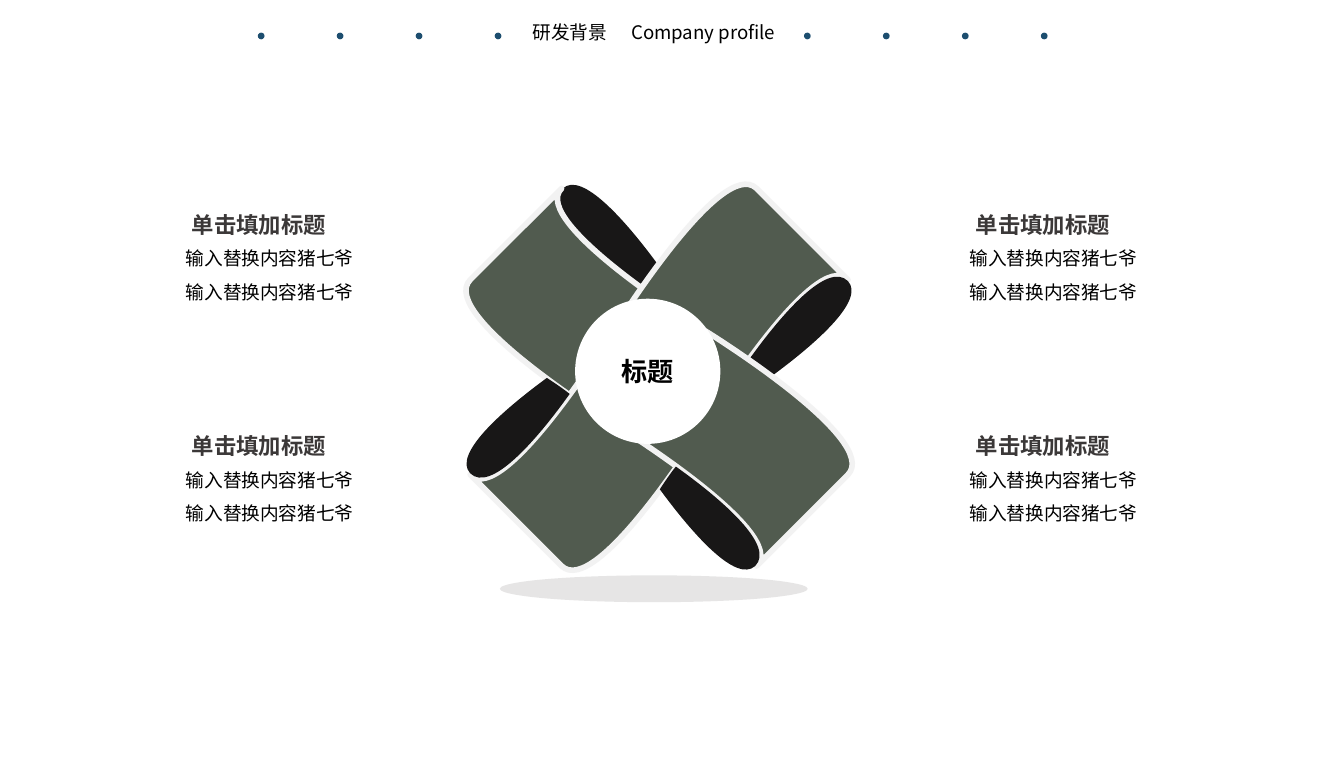
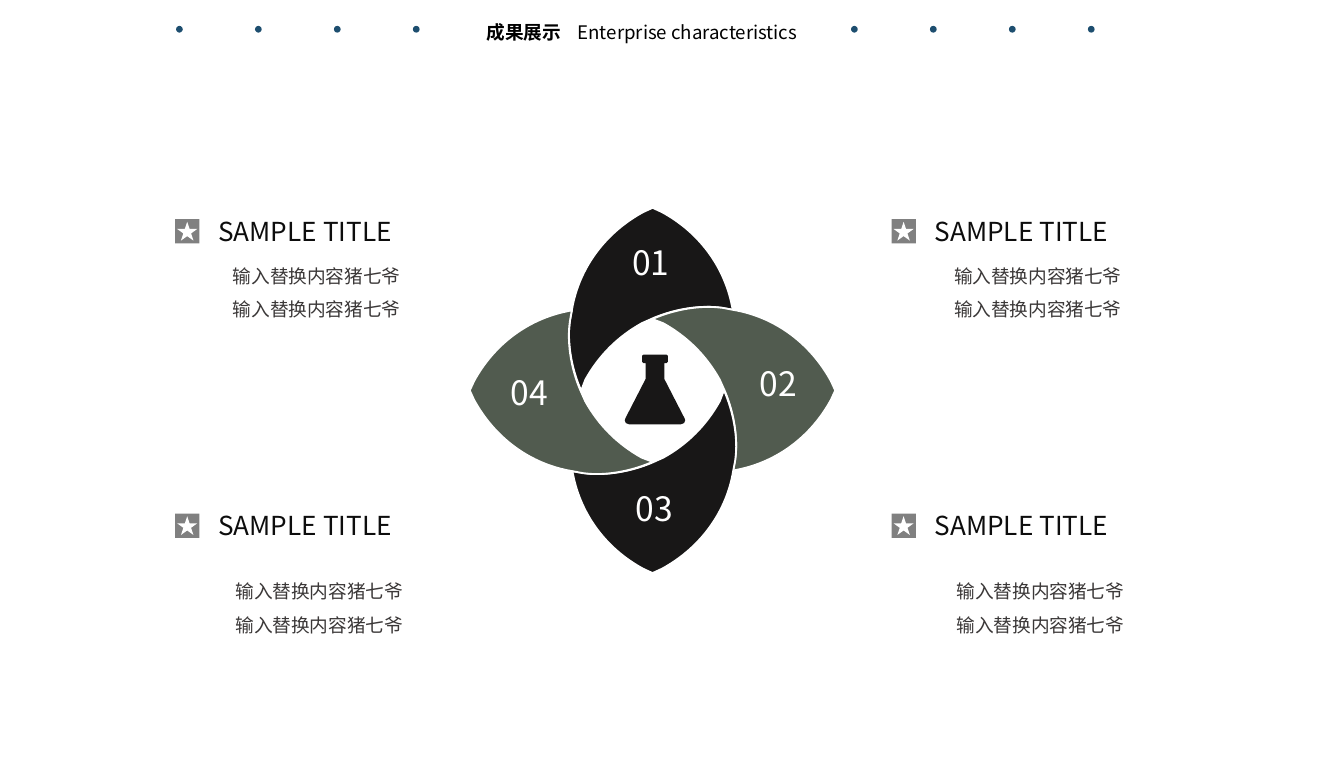
from itertools import product

from lxml.etree import SubElement
from pptx import Presentation
from pptx.dml.color import RGBColor
from pptx.enum.shapes import MSO_SHAPE
from pptx.enum.text import MSO_ANCHOR, PP_ALIGN
from pptx.oxml.ns import qn
from pptx.util import Pt

COLORS = {
    "dot": "1D4E6F", "green": "515B4F", "black": "181717", "edge": "F2F2F2",
    "white": "FFFFFF", "shade": "E6E5E5", "text": "000000", "soft": "3B3838",
    "ink": "0D0D0D", "gray": "808080",
}
FONT = "Noto Sans CJK SC"
NOTE = ["输入替换内容猪七爷"] * 2
DOT, STEP = 3.6, 42.3

BLADE = [
    (-52.2, -101.2), (-70.2, -83.2, 24.8, -24.8, 24.8, -24.8), (-24.8, 24.8),
    (-24.8, 24.8, -119.2, -33.5, -101.2, -52.2),
]
FOLD = [
    (-9, -47.9), (-6.1, -51.5, -3.2, -55.8, -0.4, -60.1),
    (-18.4, -84.6, -41.4, -110.5, -51.5, -101.2),
    (-62.3, -90.4, -34.2, -65.9, -9, -47.9),
]
PETAL = [
    (0, -97.9), (5, -95.6), (24.5, -85, 38.2, -67, 42.5, -45.4),
    (43, -43.2), (37.4, -44.2), (34.6, -44.6, 32.1, -44.8, 29.5, -44.8),
    (19.4, -44.8, 9.4, -42.5, 0.7, -38.9), (-5.8, -36),
    (-18.7, -28.8, -28.8, -18.7, -36, -5.8), (-38.2, 0), (-38.9, -1.4),
    (-42.5, -10.1, -44.8, -20.2, -44.8, -30.2),
    (-44.8, -32.6, -44.6, -35, -44.3, -37.4), (-43.2, -43.2),
    (-42.8, -45.4), (-38.5, -67, -24.5, -85, -5, -95.6),
]
HALF = [
    (6.2, 0), (6.9, 0.6), (6.9, 3.9), (6.2, 4.5), (5, 4.5), (5, 13),
    (15.8, 34), (16.2, 35.2), (15.6, 36.7), (13.7, 37.4),
]
FLASK = HALF + [(-x, y) for x, y in reversed(HALF)]
FLUID = [(11.2, 29.5), (13.7, 34.6), (13.3, 35.3), (-13.3, 35.3), (-13.7, 34.6),
         (-11.2, 29.5)]
DROPS = [(-10.8, 31.7, 2.2), (10.1, 33.1, 1.4), (5.8, 31.7, 2.2), (1.4, 32.4, 1.4)]


def tint(name):
    return RGBColor.from_string(COLORS[name])


def paint(shape, fill, line=None, width=1):
    shape.shadow.inherit = False
    shape.fill.solid()
    shape.fill.fore_color.rgb = tint(fill)
    if line:
        shape.line.color.rgb = tint(line)
        shape.line.width = Pt(width)
    else:
        shape.line.fill.background()
    return shape


def preset(slide, kind, box, fill):
    return paint(slide.shapes.add_shape(kind, *map(Pt, box)), fill)


def write(frame, lines, size, color, bold=False, center=False, lead=None, font=FONT):
    for i, line in enumerate(lines):
        para = frame.paragraphs[0] if i == 0 else frame.add_paragraph()
        para.text = line
        para.alignment = PP_ALIGN.CENTER if center else PP_ALIGN.LEFT
        if i:
            para.space_before = Pt(6)
        if lead:
            para.line_spacing = Pt(size * lead)
        para.font.size = Pt(size)
        para.font.bold = bold
        para.font.color.rgb = tint(color)
        para.font.name = font
        props = para._p.pPr.find(qn("a:defRPr"))
        SubElement(props, qn("a:ea")).set("typeface", FONT)


def inset(frame, left=0, top=0, right=0, bottom=0):
    frame.margin_left, frame.margin_top = Pt(left), Pt(top)
    frame.margin_right, frame.margin_bottom = Pt(right), Pt(bottom)


def label(slide, box, lines, size, color, lead=1.2, **style):
    frame = slide.shapes.add_textbox(*map(Pt, box)).text_frame
    frame.word_wrap = True
    write(frame, lines, size, color, lead=lead, **style)
    return frame


def pairs(step):
    return list(zip(step[::2], step[1::2]))


def spin(step, turn):
    pts = pairs(step)
    for _ in range(turn):
        pts = [(-y, x) for x, y in pts]
    return [n for point in pts for n in point]


def curve(start, bend, count=16):
    pts = [start, *pairs(bend)]
    for i in range(1, count + 1):
        t = i / count
        mix = ((1 - t) ** 3, 3 * t * (1 - t) ** 2, 3 * t * t * (1 - t), t ** 3)
        yield tuple(sum(m * p[k] for m, p in zip(mix, pts)) for k in (0, 1))


def bend(shape, steps, hub):
    route = shape._element.find(".//" + qn("a:path"))
    for old in route[1:]:
        route.remove(old)
    for step in steps[1:]:
        kind = "a:lnTo" if len(step) == 2 else "a:cubicBezTo"
        part = SubElement(route, qn(kind))
        for x, y in pairs(step):
            spot = SubElement(part, qn("a:pt"))
            spot.set("x", str(Pt(hub[0] + x) - shape.left))
            spot.set("y", str(Pt(hub[1] + y) - shape.top))
    SubElement(route, qn("a:close"))


def trace(slide, steps, hub, turn=0):
    steps = [spin(step, turn) for step in steps]
    pts = [steps[0]]
    for step in steps[1:]:
        pts.extend([step] if len(step) == 2 else curve(pts[-1], step))
    spots = [(Pt(hub[0] + x), Pt(hub[1] + y)) for x, y in pts]
    form = slide.shapes.build_freeform(*spots[0])
    form.add_line_segments(spots[1:], close=True)
    shape = form.convert_to_shape()
    bend(shape, steps, hub)
    return shape


def header(slide, title, left, bold, side, wide, rows, top):
    head = slide.shapes.title
    head.left, head.top, head.width, head.height = map(Pt, (left, 7.6, 71.3, 19.4))
    frame = head.text_frame
    frame.vertical_anchor = MSO_ANCHOR.TOP
    frame.word_wrap = True
    write(frame, [title], 10, "text", bold=bold, lead=1.2)
    label(slide, (wide[0], 7.9, wide[1], 19.4), [side], 10, "text")
    for start, i in product(rows, range(4)):
        preset(slide, MSO_SHAPE.OVAL, (start + i * STEP, top, DOT, DOT), "dot")


def notes(slide, x, y, color):
    label(slide, (x, y, 154.8, 37.4), NOTE, 10, color, center=True)


def wheel(slide, x, y):
    preset(slide, MSO_SHAPE.OVAL, (x - 85.3, y + 106.2, 164.9, 14.4), "shade")
    paint(trace(slide, FOLD, (x, y)), "black")
    for turn in (0, 1, 3, 2):
        paint(trace(slide, BLADE, (x, y), turn), "green", "edge", 3)
        if turn:
            paint(trace(slide, FOLD, (x, y), turn), "black")
    disc = preset(slide, MSO_SHAPE.OVAL, (x - 45, y - 42.1, 77.8, 77.8), "white")
    frame = disc.text_frame
    frame.word_wrap = False
    frame.vertical_anchor = MSO_ANCHOR.MIDDLE
    inset(frame)
    write(frame, ["标题"], 14, "text", bold=True, center=True, font="Calibri")


def topic(slide, x, y):
    notes(slide, x, y + 19, "text")
    frame = label(slide, (x + 22.5, y, 98.6, 16.6), ["单击填加标题"], 12, "soft",
                  bold=True, center=True, lead=1.45)
    inset(frame)


def flower(slide, x, y):
    pads = [(0, 0, 0, 39.6), (36.7, 0, 0, 5.8), (0, 28.1, 0, 0), (0, 0, 33.8, 0)]
    for turn, pad in enumerate(pads):
        fill = "green" if turn % 2 else "black"
        petal = paint(trace(slide, PETAL, (x, y), turn), fill, "white")
        frame = petal.text_frame
        frame.word_wrap = True
        frame.vertical_anchor = MSO_ANCHOR.MIDDLE
        inset(frame, *pad)
        write(frame, [f"{turn + 1:02}"], 18, "white", center=True)
    flask(slide, x + 1.3, y - 19.2)


def flask(slide, x, y):
    for outline in (FLASK, FLUID):
        paint(trace(slide, outline, (x, y)), "black")
    for left, top, size in DROPS:
        preset(slide, MSO_SHAPE.OVAL, (x + left, y + top, size, size), "black")


def entry(slide, x, y):
    label(slide, (x + 16, y, 107.3, 24.5), ["SAMPLE TITLE"], 14, "ink")
    preset(slide, MSO_SHAPE.RECTANGLE, (x, y + 5.8, 13, 13), "gray")
    preset(slide, MSO_SHAPE.STAR_5_POINT, (x + 1.1, y + 7.2, 10.8, 10.1), "white")


def origin(deck):
    slide = deck.slides.add_slide(deck.slide_layouts[5])
    header(slide, "研发背景", 278.2, False, "Company profile", (331.2, 131.8),
           (138.1, 430.7), 17.5)
    wheel(slide, 353.1, 202.2)
    for x, y in product((67, 486.9), (110, 228.7)):
        topic(slide, x, y)


def results(deck):
    slide = deck.slides.add_slide(deck.slide_layouts[5])
    header(slide, "成果展示", 253.4, True, "Enterprise characteristics",
           (302.4, 137.5), (94.3, 455.9), 13.9)
    flower(slide, 349.6, 209.3)
    for x, y in product((93.8, 477.6), (111.7, 269.5)):
        entry(slide, x, y)
    for x, (shift, y) in product((92.2, 478.5), ((0, 138.2), (1.4, 307.4))):
        notes(slide, x + shift, y, "soft")


def main():
    deck = Presentation()
    deck.slide_width, deck.slide_height = Pt(720), Pt(411.12)
    origin(deck)
    results(deck)
    deck.save("out.pptx")


if __name__ == "__main__":
    main()
